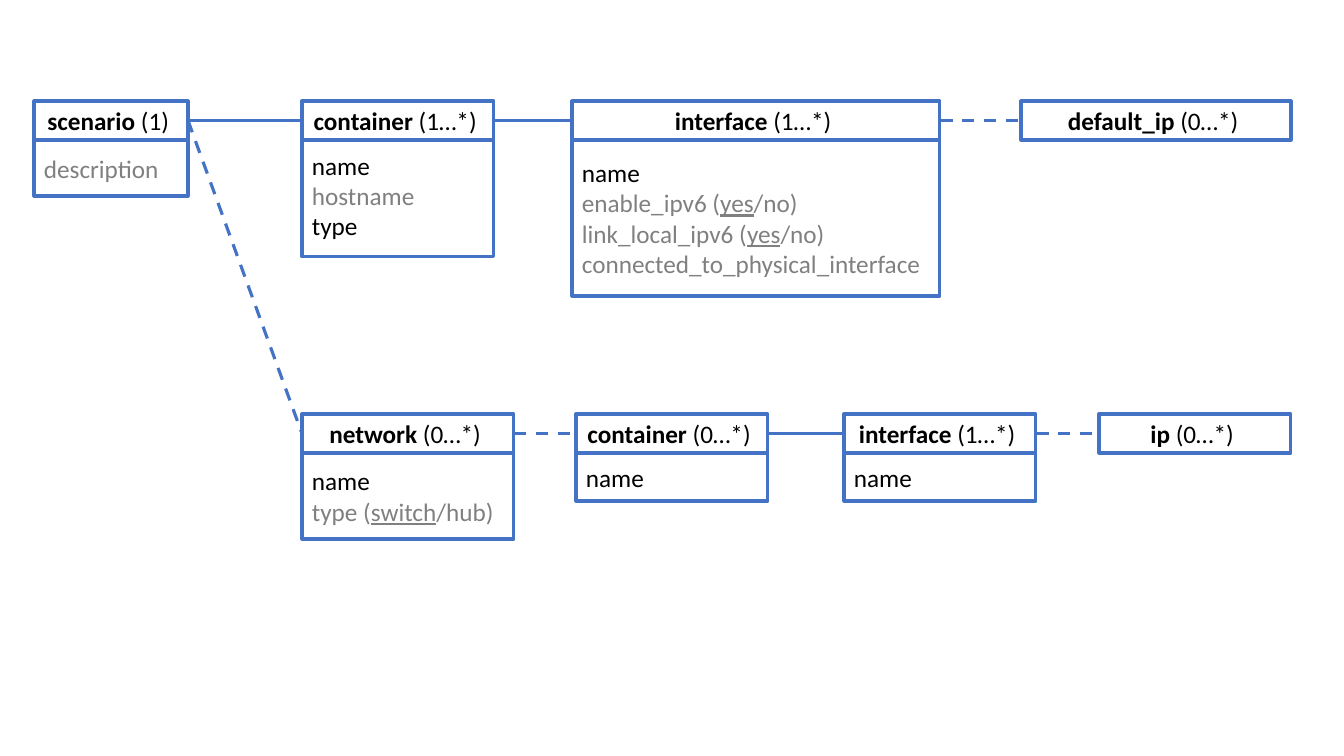
from dataclasses import dataclass

from lxml.etree import SubElement
from pptx import Presentation
from pptx.dml.color import RGBColor
from pptx.enum.dml import MSO_LINE
from pptx.enum.shapes import MSO_CONNECTOR, MSO_SHAPE
from pptx.enum.text import MSO_ANCHOR, PP_ALIGN
from pptx.oxml.ns import qn
from pptx.shapes.autoshape import Shape
from pptx.util import Emu, Pt

EMU_PER_PX = 914400 / 100.8
COLORS = {"border": "4472C4", "paper": "FFFFFF", "required": "000000", "optional": "808080"}
HEADER_HEIGHT = 39
SCENARIO_ROW, NETWORK_ROW = 101, 414
LEFT, RIGHT = 1, 3  # connection sites of a rectangle


@dataclass(frozen=True)
class Attribute:
    name: str
    optional: bool = False
    default: str = ""
    alternative: str = ""


@dataclass(frozen=True)
class Entity:
    name: str
    count: str
    left: int
    top: int
    width: int
    body_height: int = 0
    attributes: tuple[Attribute, ...] = ()
    bottom_inset: int = 5


@dataclass(frozen=True)
class Relation:
    parent: str
    child: str
    optional: bool = False


NAME = Attribute("name")

ENTITIES = {
    "scenario": Entity("scenario", "1", 34, SCENARIO_ROW, 154, 56,
                       (Attribute("description", True),)),
    "container": Entity("container", "1…*", 302, SCENARIO_ROW, 192, 117,
                        (NAME, Attribute("hostname", True), Attribute("type")), 11),
    "interface": Entity("interface", "1…*", 572, SCENARIO_ROW, 368, 156,
                        (NAME,
                         Attribute("enable_ipv6", True, "yes", "no"),
                         Attribute("link_local_ipv6", True, "yes", "no"),
                         Attribute("connected_to_physical_interface", True))),
    "default_ip": Entity("default_ip", "0…*", 1021, SCENARIO_ROW, 270),
    "network": Entity("network", "0…*", 302, NETWORK_ROW, 212, 86,
                      (NAME, Attribute("type", True, "switch", "hub"))),
    "member container": Entity("container", "0…*", 576, NETWORK_ROW, 192, 48, (NAME,)),
    "member interface": Entity("interface", "1…*", 844, NETWORK_ROW, 192, 48, (NAME,)),
    "ip": Entity("ip", "0…*", 1099, NETWORK_ROW, 192),
}

RELATIONS = (
    Relation("scenario", "container"),
    Relation("container", "interface"),
    Relation("interface", "default_ip", True),
    Relation("scenario", "network", True),
    Relation("network", "member container", True),
    Relation("member container", "member interface"),
    Relation("member interface", "ip", True),
)


def px(length: int) -> Emu:
    return Emu(round(length * EMU_PER_PX))


def color(role: str) -> RGBColor:
    return RGBColor.from_string(COLORS[role])


def style_line(line) -> None:
    line.color.rgb = color("border")
    line.width = Pt(2.25)


def add_run(paragraph, text: str, role: str = "required",
            bold: bool = False, underline: bool = False) -> None:
    run = paragraph.add_run()
    run.text = text
    run.font.name = "Calibri"
    run.font.size = Pt(18)
    run.font.bold = bold
    run.font.underline = underline
    run.font.color.rgb = color(role)


def add_box(left: int, top: int, width: int, height: int) -> Shape:
    box = slide.shapes.add_shape(MSO_SHAPE.RECTANGLE, px(left), px(top), px(width), px(height))
    box.shadow.inherit = False
    box.fill.solid()
    box.fill.fore_color.rgb = color("paper")
    style_line(box.line)
    box.text_frame.word_wrap = True
    box.text_frame.vertical_anchor = MSO_ANCHOR.MIDDLE
    return box


def add_attributes(entity: Entity) -> None:
    frame = add_box(entity.left, entity.top + HEADER_HEIGHT,
                    entity.width, entity.body_height).text_frame
    frame.margin_bottom = px(entity.bottom_inset)
    for index, attribute in enumerate(entity.attributes):
        paragraph = frame.add_paragraph() if index else frame.paragraphs[0]
        paragraph.alignment = PP_ALIGN.LEFT
        role = "optional" if attribute.optional else "required"
        if attribute.default:
            add_run(paragraph, f"{attribute.name} (", role)
            add_run(paragraph, attribute.default, role, underline=True)
            add_run(paragraph, f"/{attribute.alternative})", role)
        else:
            add_run(paragraph, attribute.name, role)


def add_entity(entity: Entity) -> Shape:
    if entity.attributes:
        add_attributes(entity)
    header = add_box(entity.left, entity.top, entity.width, HEADER_HEIGHT)
    title = header.text_frame.paragraphs[0]
    title.alignment = PP_ALIGN.CENTER
    add_run(title, entity.name, bold=True)
    add_run(title, f" ({entity.count}) ")
    return header


def add_relation(relation: Relation, headers: dict[str, Shape]) -> None:
    link = slide.shapes.add_connector(MSO_CONNECTOR.STRAIGHT, 0, 0, 0, 0)
    link.begin_connect(headers[relation.parent], RIGHT)
    link.end_connect(headers[relation.child], LEFT)
    style_line(link.line)
    if relation.optional:
        link.line.dash_style = MSO_LINE.DASH
    SubElement(link._element.spPr, qn("a:effectLst"))


presentation = Presentation()
presentation.slide_width, presentation.slide_height = px(1344), px(756)
slide = presentation.slides.add_slide(presentation.slide_layouts[6])

# Entities with their attributes
entity_headers = {key: add_entity(entity) for key, entity in ENTITIES.items()}

# Relations, dashed where the child is optional
for entity_relation in RELATIONS:
    add_relation(entity_relation, entity_headers)

presentation.save("out.pptx")
